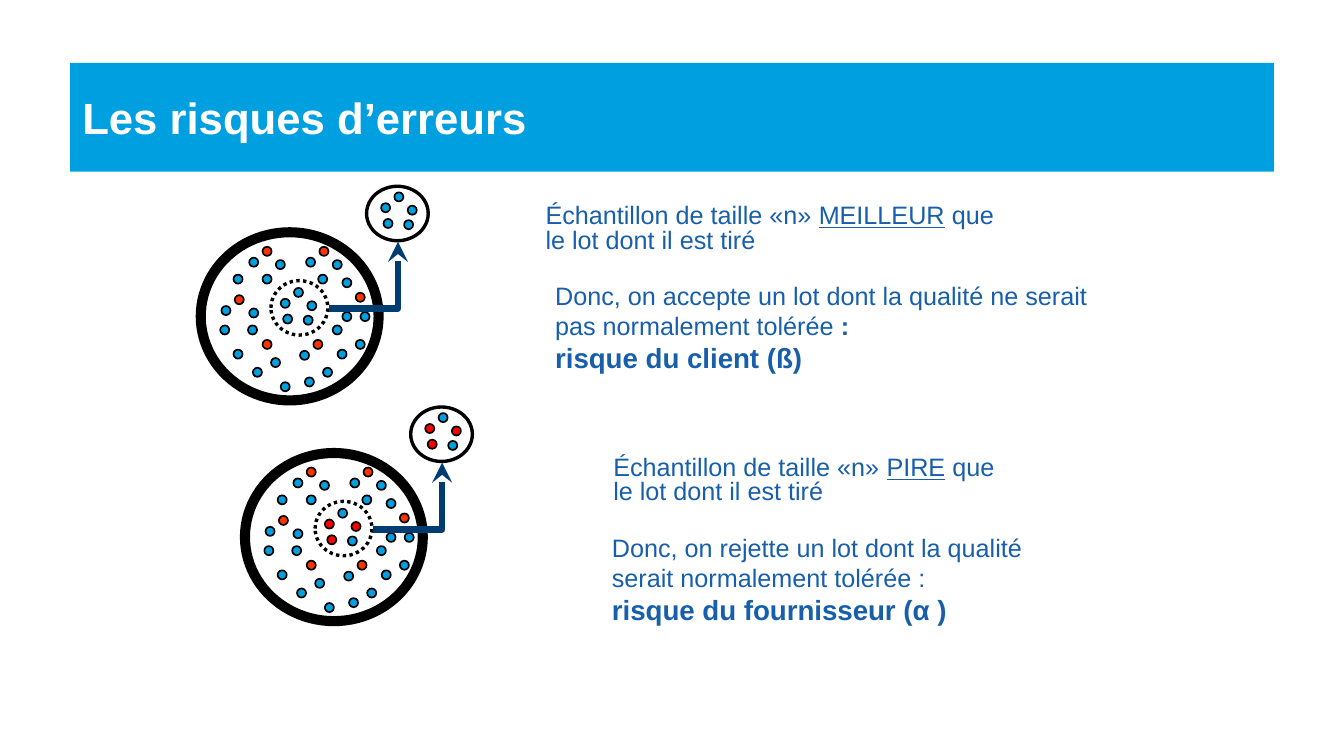
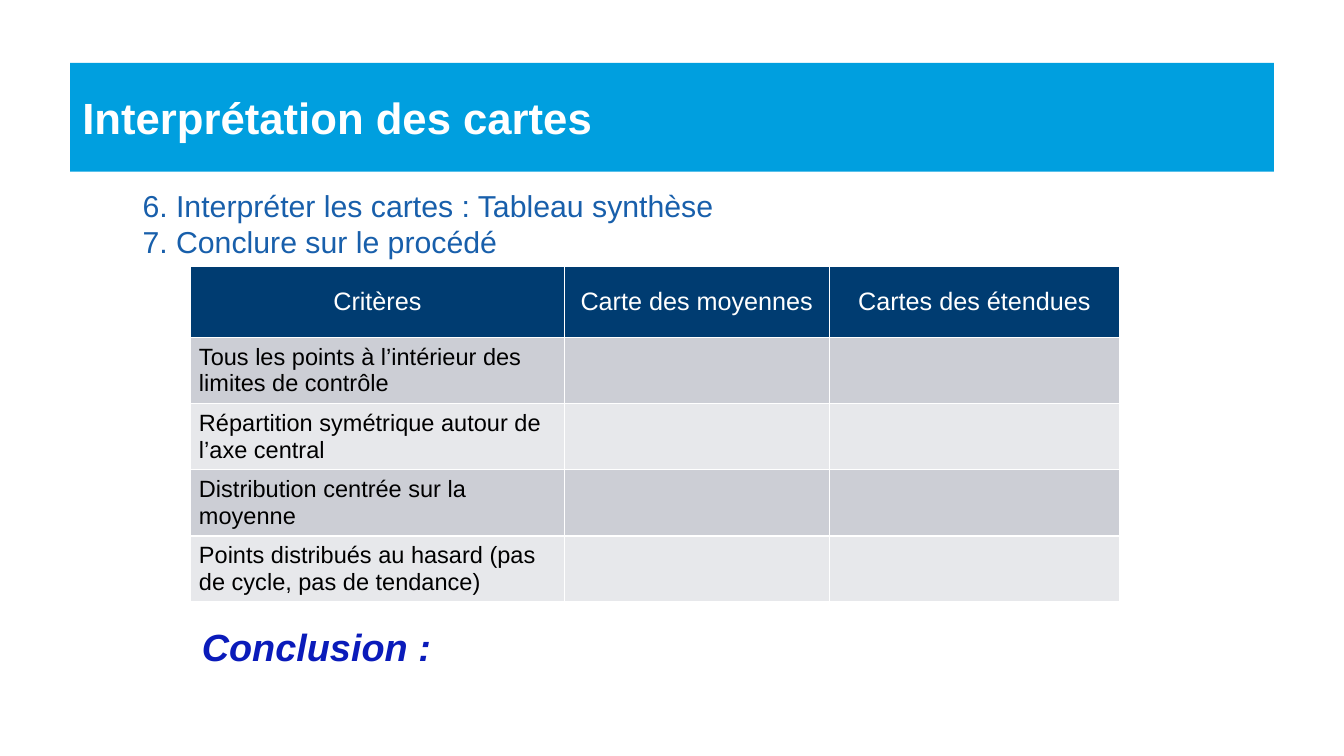
import lxml.etree
import pptx
import pptx.dml.color
import pptx.enum.dml
import pptx.enum.shapes
import pptx.enum.text
import pptx.oxml.ns
import pptx.util

CELL = 0.1  # inches in one column or row of the square grid
COLS, ROWS = 111.1, 62.5

FONT = "Arial"
SKY, NAVY, BLUE, INK = "009FDF", "003C71", "185FAB", "0A1BBA"
WHITE, BLACK, RED, ORANGE = "FFFFFF", "000000", "FF0000", "FF3300"
BANDS = ("CCCED5", "E7E8EB")


def grid(*sizes):
    return [pptx.util.Inches(size * CELL) for size in sizes]


def tint(code):
    return pptx.dml.color.RGBColor.from_string(code)


def write(frame, text, size=15, color=BLUE, bold=False, slant=False,
          align="LEFT", space=None):
    """Fill a frame: text is a string or a list of paragraphs;
    a paragraph is a string or a list of (words, changes) runs."""
    for row, part in enumerate([text] if isinstance(text, str) else text):
        para = frame.paragraphs[0] if row == 0 else frame.add_paragraph()
        para.alignment = getattr(pptx.enum.text.PP_ALIGN, align)
        if space:
            para.line_spacing = space
        for words, change in [(part, {})] if isinstance(part, str) else part:
            run = para.add_run()
            run.text = words
            font = run.font
            font.name = FONT
            font.size = pptx.util.Pt(change.get("size", size))
            font.bold = change.get("bold", bold)
            font.italic = slant
            font.underline = change.get("under", False)
            font.color.rgb = tint(color)


class Deck:
    def __init__(self):
        self.file = pptx.Presentation()
        self.file.slide_width, self.file.slide_height = grid(COLS, ROWS)
        self.slide = None

    def page(self, title):
        """Start a slide with its title band."""
        self.slide = self.file.slides.add_slide(self.file.slide_layouts[5])
        band = self.slide.shapes.title
        band.left, band.top, band.width, band.height = grid(5.8, 5.2, 99.5, 9)
        band.fill.solid()
        band.fill.fore_color.rgb = tint(SKY)
        frame = band.text_frame
        frame.word_wrap = True
        frame.auto_size = pptx.enum.text.MSO_AUTO_SIZE.NONE
        frame.vertical_anchor = pptx.enum.text.MSO_ANCHOR.MIDDLE
        write(frame, title, size=26, color=WHITE, bold=True)

    def text(self, left, top, width, height, text, pad=(1, 0.5), **style):
        frame = self.slide.shapes.add_textbox(
            *grid(left, top, width, height)).text_frame
        frame.word_wrap = True
        frame.margin_left, frame.margin_top = grid(*pad)
        frame.margin_right, frame.margin_bottom = grid(*pad)
        write(frame, text, **style)

    def oval(self, left, top, width, height, fill=None, line=1, dots=False):
        oval = self.slide.shapes.add_shape(
            pptx.enum.shapes.MSO_SHAPE.OVAL, *grid(left, top, width, height))
        oval.shadow.inherit = False
        if fill:
            oval.fill.solid()
            oval.fill.fore_color.rgb = tint(fill)
        else:
            oval.fill.background()
        oval.line.color.rgb = tint(BLACK)
        oval.line.width = pptx.util.Pt(line)
        if dots:
            oval.line.dash_style = pptx.enum.dml.MSO_LINE.ROUND_DOT

    def balls(self, left, top, spots, fill):
        for x, y in spots:
            self.oval(left + x, top + y, 0.75, 0.75, fill)

    def arrow(self, *points):
        """Draw an open bent line with an arrowhead at its end."""
        start, *rest = [grid(*point) for point in points]
        path = self.slide.shapes.build_freeform(*start)
        path.add_line_segments(rest, close=False)
        bend = path.convert_to_shape()
        bend.shadow.inherit = False
        bend.fill.background()
        bend.line.color.rgb = tint(NAVY)
        bend.line.width = pptx.util.Pt(4)
        qn = pptx.oxml.ns.qn
        edge = bend.element.spPr.find(qn("a:ln"))
        lxml.etree.SubElement(edge, qn("a:tailEnd"), type="stealth")

    def table(self, left, top, widths, heights, head, names):
        table = self.slide.shapes.add_table(
            len(heights), len(widths),
            *grid(left, top, sum(widths), sum(heights))).table
        table.horz_banding = False
        for col, width in zip(table.columns, grid(*widths)):
            col.width = width
        for row, height in zip(table.rows, grid(*heights)):
            row.height = height
        for row in range(len(heights)):
            for col in range(len(widths)):
                cell = table.cell(row, col)
                self.frame(cell)
                cell.fill.solid()
                cell.fill.fore_color.rgb = tint(
                    BANDS[(row - 1) % 2] if row else NAVY)
                cell.vertical_anchor = pptx.enum.text.MSO_ANCHOR.MIDDLE
                cell.margin_left, cell.margin_top = grid(0.7, 0.4)
                cell.margin_right, cell.margin_bottom = grid(0.7, 0.4)
                if row == 0:
                    write(cell.text_frame, head[col], color=WHITE,
                          align="CENTER")
                elif col == 0:
                    write(cell.text_frame, names[row - 1], size=14,
                          color=BLACK)

    def frame(self, cell):
        """Give a cell thin white borders."""
        qn = pptx.oxml.ns.qn
        props = cell._tc.get_or_add_tcPr()
        for side in "LRTB":
            edge = lxml.etree.SubElement(
                props, qn("a:ln" + side), w=str(pptx.util.Pt(1)))
            fill = lxml.etree.SubElement(edge, qn("a:solidFill"))
            lxml.etree.SubElement(fill, qn("a:srgbClr"), val=WHITE)


# Ball places, in cells from the corner of the lot
BAD = [(2.8, 5.2), (5.1, 8.9), (9.3, 8.9), (5.1, 1.2), (12.8, 5), (9.8, 1.2)]
GOOD = [(4, 6.3), (1.6, 7.7), (1.7, 6.1), (3.9, 7.7), (5.8, 10.4),
        (4.3, 11.2), (2.7, 9.7), (6.6, 12.4), (11.3, 9.7), (8.6, 12),
        (8.2, 9.8), (10.1, 11.2), (6.2, 2.3), (2.7, 3.5), (4, 2.1),
        (5.1, 3.5), (13.2, 6.6), (10.9, 7.7), (11.7, 6.6), (12.8, 8.9),
        (10.9, 2.3), (9.7, 3.5), (8.7, 2.1), (11.7, 3.8)]
CORE = [(7.7, 4.6), (8.5, 6.9), (8.8, 5.7), (6.8, 6.8), (6.6, 5.5)]
SHIFT = (8.3, -7.9)  # from the core of the lot to the drawn sample


def lot(deck, left, top, tone):
    """Draw a lot and its sample; tone colours three of the five balls."""
    deck.oval(left, top, 14.7, 13.9, line=6)
    deck.oval(left + 5.8, top + 4, 4.7, 4.5, line=2, dots=True)
    deck.oval(left + 13.7, top - 3.8, 5.1, 4.5, line=2)
    deck.balls(left, top, BAD, ORANGE)
    deck.balls(left, top, GOOD, SKY)
    for x, y in ((0, 0), SHIFT):
        deck.balls(left + x, top + y, CORE[:2], SKY)
        deck.balls(left + x, top + y, CORE[2:], tone)
    turn = left + 16.3
    deck.arrow((left + 10.6, top + 6.3), (turn, top + 6.3), (turn, top + 0.8))


def claim(deck, left, top, width, word):
    """State how the sample compares with its lot."""
    deck.text(left, top, width, 4.8,
              [[("Échantillon de taille «n» ", {}), (word, {"under": True}),
                (" que", {})], "le lot dont il est tiré"],
              pad=(0.8, 0.4), space=0.8)


def main():
    deck = Deck()
    strong = {"size": 16.5, "bold": True}

    # Slide 1: the two risks
    deck.page("Les risques d’erreurs")
    lot(deck, 16.6, 19.2, SKY)
    claim(deck, 44.3, 16.6, 39.6, "MEILLEUR")
    deck.text(44.9, 22.7, 48.2, 8.8, [
        [("Donc, on accepte un lot dont la qualité ne serait "
          "pas normalement tolérée", {}), (" :", {"bold": True})],
        [("risque du client (ß)", strong)]])
    lot(deck, 20.25, 37.45, RED)
    claim(deck, 49.9, 37.4, 34, "PIRE")
    deck.text(49.6, 43.5, 43.4, 8.8, [
        "Donc, on rejette un lot dont la qualité",
        "serait normalement tolérée :",
        [("risque du fournisseur (α )", strong)]])

    # Slide 2: the summary table
    deck.page("Interprétation des cartes")
    deck.text(10.8, 15, 58.4, 7.1, [
        "6. Interpréter les cartes : Tableau synthèse",
        "7. Conclure sur le procédé"], size=18)
    deck.table(15.75, 22, [30.9, 21.9, 24], [5.9] + [5.42] * 4,
               ["Critères", "Carte des moyennes", "Cartes des étendues"],
               ["Tous les points à l’intérieur des limites de contrôle",
                "Répartition symétrique autour de l’axe central",
                "Distribution centrée sur la moyenne",
                "Points distribués au hasard (pas de cycle, "
                "pas de tendance)"])
    deck.text(15.7, 51.1, 71.6, 4.8, "Conclusion :", size=22.5, color=INK,
              bold=True, slant=True)

    deck.file.save("out.pptx")


if __name__ == "__main__":
    main()
